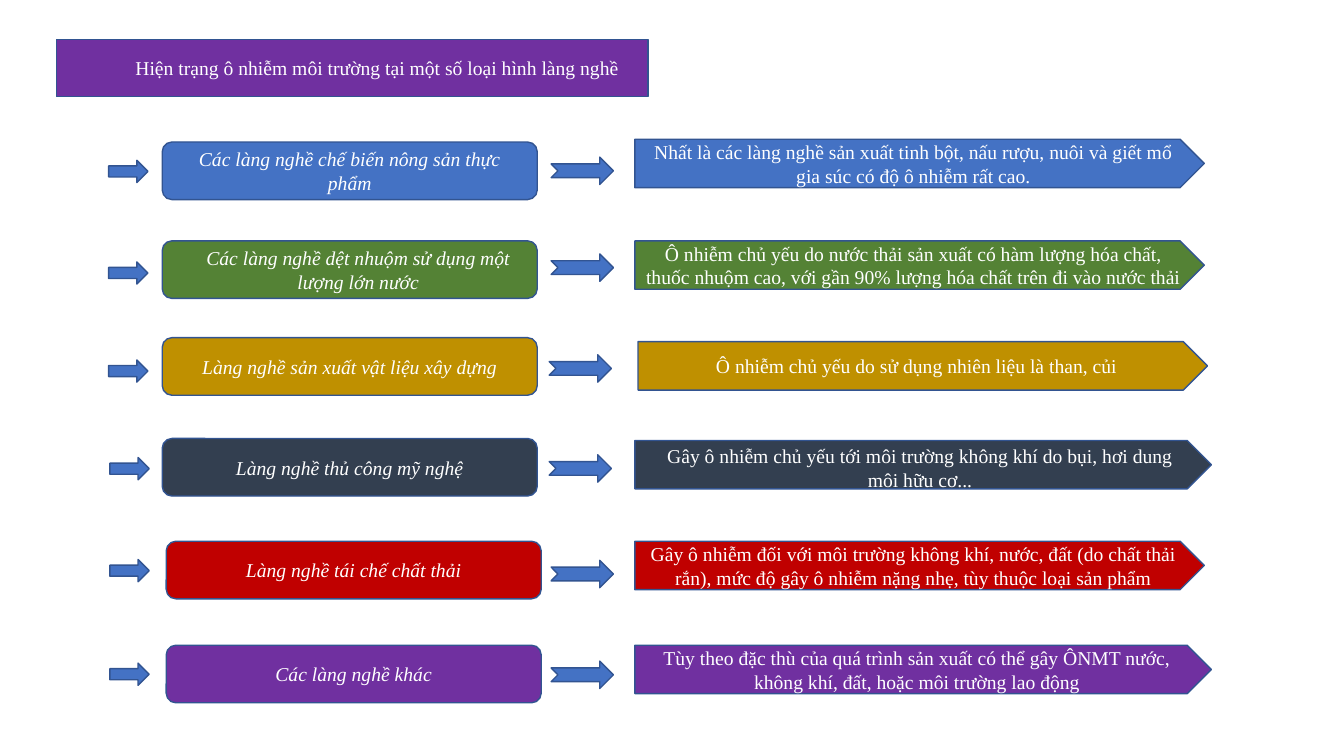
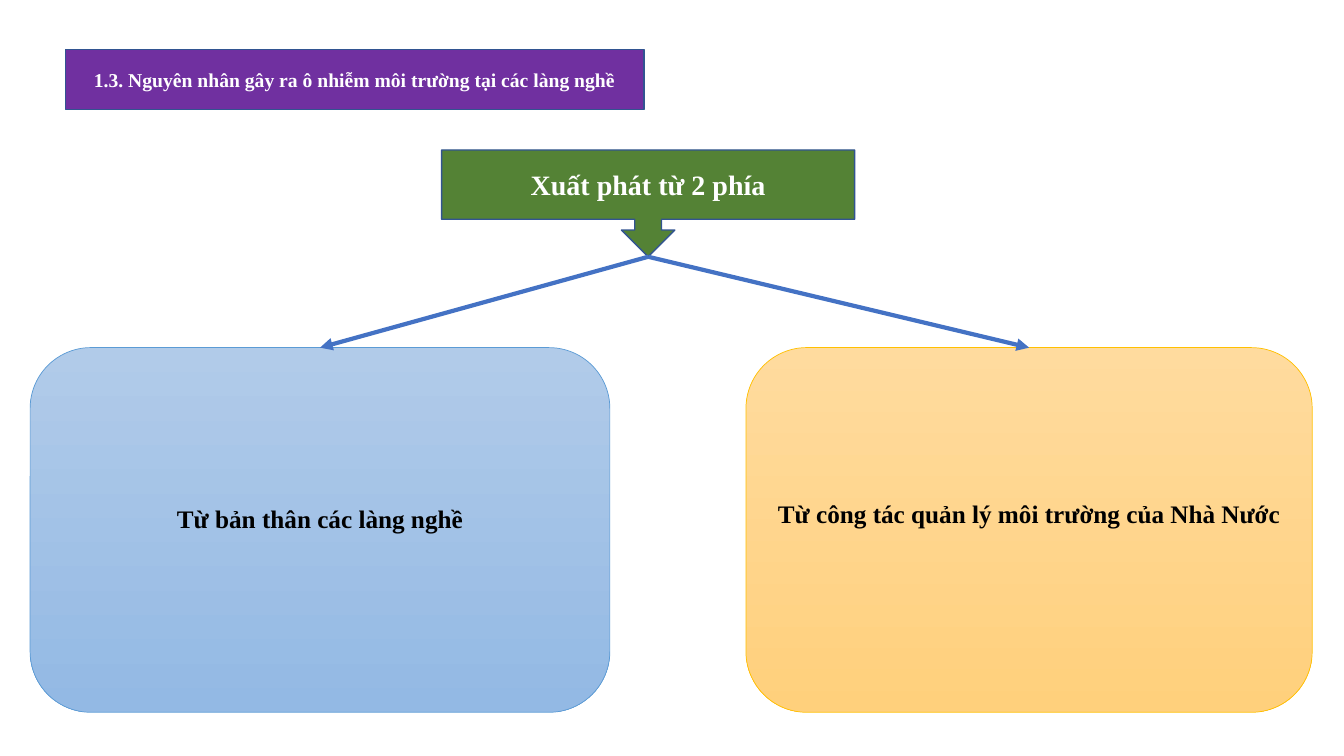
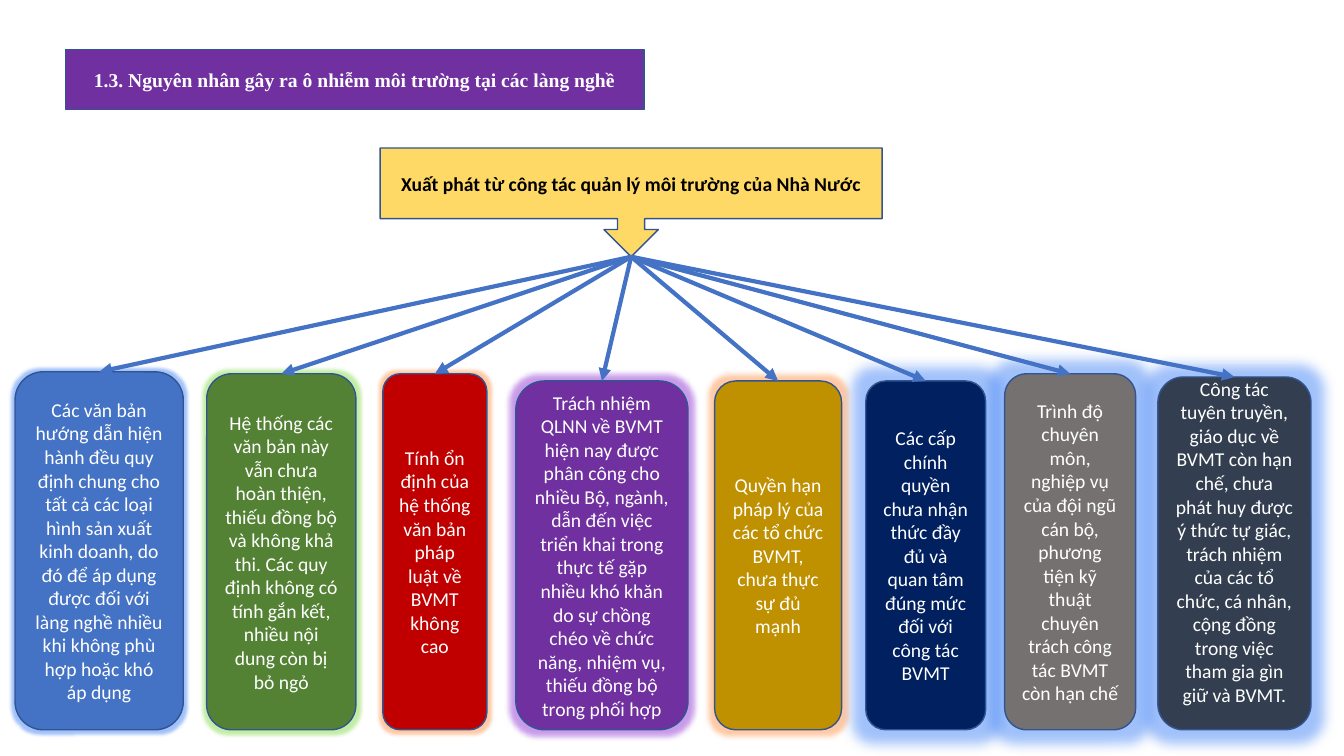
"""Build three slides on pollution in craft villages."""
from dataclasses import dataclass

from lxml import etree
from pptx import Presentation
from pptx.dml.color import RGBColor
from pptx.enum.shapes import MSO_CONNECTOR, MSO_SHAPE
from pptx.enum.text import MSO_ANCHOR, MSO_AUTO_SIZE, PP_ALIGN
from pptx.oxml.ns import qn
from pptx.util import Cm, Pt

ROUND = MSO_SHAPE.ROUNDED_RECTANGLE
ARROW = MSO_SHAPE.RIGHT_ARROW
NOTCHED = MSO_SHAPE.NOTCHED_RIGHT_ARROW
PLATE = MSO_SHAPE.PENTAGON
CALLOUT = MSO_SHAPE.DOWN_ARROW_CALLOUT
STRAIGHT = MSO_CONNECTOR.STRAIGHT
CENTER = PP_ALIGN.CENTER
MIDDLE = MSO_ANCHOR.MIDDLE
FIXED = MSO_AUTO_SIZE.NONE
TITLE_ONLY = 5
TOP, BOTTOM = 0, 2


@dataclass(frozen=True)
class Theme:
    """Colours, fonts and type sizes."""
    blue: str = "4472C4"
    green: str = "548235"
    gold: str = "BF9000"
    slate: str = "333F50"
    red: str = "C00000"
    purple: str = "7030A0"
    navy: str = "002060"
    gray: str = "767171"
    yellow: str = "FFD966"
    edge: str = "325491"
    white: str = "FFFFFF"
    black: str = "000000"
    lime: str = "70AD47"
    orange: str = "ED7D31"
    sky: tuple = ("B1CBE9", "93B9E4")
    sand: tuple = ("FFDB9E", "FFD07C")
    sky_edge: str = "5B9BD5"
    sand_edge: str = "FFC000"
    serif: str = "Times New Roman"
    sans: str = "Calibri"
    small: int = 14
    mid: int = 18
    large: int = 20


T = Theme()
PAD = (0.25, 0.13, 0.25, 0.13)

STATUS = "Hiện trạng ô nhiễm môi trường tại một số loại hình làng nghề"
CAUSES = "1.3. Nguyên nhân gây ra ô nhiễm môi trường tại các làng nghề"
STATUS_BOX = (1.42, 0.99, 14.91, 1.45)
CAUSES_BOX = (1.65, 1.24, 14.58, 1.52)

CRAFTS = [
    (T.blue, "Các làng nghề chế biến nông sản thực phẩm", PAD,
     "Nhất là các làng nghề sản xuất tinh bột, nấu rượu, nuôi và giết mổ "
     "gia súc có độ ô nhiễm rất cao.", PAD),
    (T.green, "Các làng nghề dệt nhuộm sử dụng một lượng lớn nước",
     (0.68, 0.13, 0.25, 0.13),
     "Ô nhiễm chủ yếu do nước thải sản xuất có hàm lượng hóa chất, thuốc "
     "nhuộm cao, với gần 90% lượng hóa chất trên đi vào nước thải", PAD),
    (T.gold, "Làng nghề sản xuất vật liệu xây dựng", PAD,
     "Ô nhiễm chủ yếu do sử dụng nhiên liệu là than, củi", PAD),
    (T.slate, "Làng nghề thủ công mỹ nghệ", PAD,
     "Gây ô nhiễm chủ yếu tới môi trường không khí do bụi, hơi dung môi "
     "hữu cơ...", (0.4, 0.28, 0.25, 0.13)),
    (T.red, "Làng nghề tái chế chất thải", PAD,
     "Gây ô nhiễm đối với môi trường không khí, nước, đất (do chất thải "
     "rắn), mức độ gây ô nhiễm nặng nhẹ, tùy thuộc loại sản phẩm", PAD),
    (T.purple, "Các làng nghề khác", PAD,
     "Tùy theo đặc thù của quá trình sản xuất có thể gây ÔNMT nước, không "
     "khí, đất, hoặc môi trường lao động", PAD),
]
LEFTS = {
    "arrow": (2.74, 2.74, 2.74, 2.77, 2.77, 2.77),
    "craft": (4.09, 4.09, 4.09, 4.09, 4.19, 4.19),
    "link": (13.89, 13.89, 13.84, 13.84, 13.89, 13.89),
    "plate": (16, 16, 16.08, 16, 16, 16),
}
TOPS = {
    "arrow": (4.04, 6.6, 9.07, 11.53, 14.1, 16.71),
    "craft": (3.58, 6.07, 8.51, 11.05, 13.64, 16.26),
    "link": (3.96, 6.4, 8.94, 11.46, 14.12, 16.66),
    "plate": (3.51, 6.07, 8.61, 11.1, 13.64, 16.26),
}
PLATE_WIDTHS = (14.35, 14.35, 14.35, 14.53, 14.35, 14.53)

SIDES = [
    ("Từ bản thân các làng nghề", (0.76, 8.76, 14.61, 9.19),
     T.sky, T.sky_edge, 0.73),
    ("Từ công tác quản lý môi trường của Nhà Nước",
     (18.8, 8.76, 14.27, 9.19), T.sand, T.sand_edge, 0.98),
]

FLOOR = 18.39
FLAWS = [
    (0.38, 9.37, 4.24, T.blue, T.blue, 5,
     "Các văn bản hướng dẫn hiện hành đều quy định chung cho tất cả các "
     "loại hình sản xuất kinh doanh, do đó để áp dụng được đối với làng "
     "nghề nhiều khi không phù hợp hoặc khó áp dụng", PAD),
    (5.21, 9.42, 3.76, T.green, T.lime, 5,
     "Hệ thống các văn bản này vẫn chưa hoàn thiện, thiếu đồng bộ và không "
     "khả thi. Các quy định không có tính gắn kết, nhiều nội dung còn bị "
     "bỏ ngỏ", PAD),
    (9.65, 9.42, 2.62, T.red, T.orange, 5,
     "Tính ổn định của hệ thống văn bản pháp luật về BVMT không cao", PAD),
    (13, 9.6, 4.34, T.purple, T.purple, 8,
     "Trách nhiệm QLNN về BVMT hiện nay được phân công cho nhiều Bộ, ngành, "
     "dẫn đến việc triển khai trong thực tế gặp nhiều khó khăn do sự chồng "
     "chéo về chức năng, nhiệm vụ, thiếu đồng bộ trong phối hợp", PAD),
    (18.01, 9.6, 3.2, T.gold, T.orange, 8,
     "Quyền hạn pháp lý của các tổ chức BVMT, chưa thực sự đủ mạnh", PAD),
    (21.82, 9.6, 3.02, T.navy, T.blue, 18,
     "Các cấp chính quyền chưa nhận thức đầy đủ và quan tâm đúng mức đối "
     "với công tác BVMT", PAD),
    (25.32, 9.42, 3.3, T.gray, T.blue, 18,
     "Trình độ chuyên môn, nghiệp vụ của đội ngũ cán bộ, phương tiện kỹ "
     "thuật chuyên trách công tác BVMT còn hạn chế", PAD),
    (29.18, 9.5, 3.86, T.slate, T.blue, 18,
     "Công tác tuyên truyền, giáo dục về BVMT còn hạn chế, chưa phát huy "
     "được ý thức tự giác, trách nhiệm của các tổ chức, cá nhân, cộng đồng "
     "trong việc tham gia gìn giữ và BVMT.", (0.25, 0.13, 0.25, 0.73)),
]


def rgb(code):
    """Turn a hex code into a colour."""
    return RGBColor.from_string(code)


def write(shape, text, font=T.serif, size=T.small, color=T.white,
          bold=False, slant=False, pad=PAD):
    """Set centred text in a shape."""
    frame = shape.text_frame
    frame.word_wrap = True
    frame.auto_size = FIXED
    frame.vertical_anchor = MIDDLE
    (frame.margin_left, frame.margin_top,
     frame.margin_right, frame.margin_bottom) = map(Cm, pad)
    para = frame.paragraphs[0]
    para.alignment = CENTER
    run = para.add_run()
    run.text = text
    run.font.name, run.font.size = font, Pt(size)
    run.font.bold, run.font.italic = bold, slant
    run.font.color.rgb = rgb(color)


def paint(shape, fill, edge=T.edge, width=1):
    """Give a shape its plain or graded fill and its outline."""
    if isinstance(fill, tuple):
        shape.fill.gradient()
        shape.fill.gradient_angle = 270
        for stop, code in zip(shape.fill.gradient_stops, fill):
            stop.color.rgb = rgb(code)
    else:
        shape.fill.solid()
        shape.fill.fore_color.rgb = rgb(fill)
    shape.line.color.rgb = rgb(edge)
    shape.line.width = Pt(width)


def draw(slide, kind, box, fill, **line):
    """Add a painted shape without shadow."""
    shape = slide.shapes.add_shape(kind, *map(Cm, box))
    shape.shadow.inherit = False
    paint(shape, fill, **line)
    return shape


def glow(shape, code, size):
    """Add a soft glow round a shape."""
    effects = shape._element.spPr.find(qn("a:effectLst"))
    halo = etree.SubElement(effects, qn("a:glow"), rad=str(Pt(size)))
    tint = etree.SubElement(halo, qn("a:srgbClr"), val=code)
    etree.SubElement(tint, qn("a:satMod"), val="175000")
    etree.SubElement(tint, qn("a:alpha"), val="40000")


def join(slide, start, end):
    """Run an arrow from the foot of one shape to the top of another."""
    line = slide.shapes.add_connector(STRAIGHT, 0, 0, 0, 0)
    line.begin_connect(start, BOTTOM)
    line.end_connect(end, TOP)
    line.line.color.rgb = rgb(T.blue)
    line.line.width = Pt(3)
    props = line._element.spPr
    etree.SubElement(props.find(qn("a:ln")), qn("a:tailEnd"), type="triangle")
    etree.SubElement(props, qn("a:effectLst"))


def start(deck, text, box, **style):
    """Add a slide with its title in a purple band."""
    slide = deck.slides.add_slide(deck.slide_layouts[TITLE_ONLY])
    title = slide.shapes.title
    title.left, title.top, title.width, title.height = map(Cm, box)
    shape = etree.SubElement(title._element.spPr, qn("a:prstGeom"),
                             prst="roundRect")
    etree.SubElement(shape, qn("a:avLst"))
    paint(title, T.purple)
    write(title, text, **style)
    return slide


def show_crafts(deck):
    """Show each kind of village beside its pollution."""
    slide = start(deck, STATUS, STATUS_BOX, pad=(1.52, 0.13, 0.25, 0.13))
    for row, (fill, name, name_pad, note, note_pad) in enumerate(CRAFTS):
        spot = {key: (LEFTS[key][row], TOPS[key][row]) for key in LEFTS}
        draw(slide, ARROW, (*spot["arrow"], 0.99, 0.56), T.blue)
        craft = draw(slide, ROUND, (*spot["craft"], 9.45, 1.45), fill)
        write(craft, name, slant=True, pad=name_pad)
        draw(slide, NOTCHED, (*spot["link"], 1.57, 0.69), T.blue)
        plate = draw(slide, PLATE,
                     (*spot["plate"], PLATE_WIDTHS[row], 1.22), fill)
        write(plate, note, pad=note_pad)


def show_sides(deck):
    """Show the two sides the causes come from."""
    slide = start(deck, CAUSES, CAUSES_BOX, bold=True)
    root = draw(slide, CALLOUT, (11.13, 3.78, 10.41, 2.69), T.green)
    write(root, "Xuất phát từ 2 phía", size=T.large, bold=True)
    for text, box, fill, edge, foot in SIDES:
        side = draw(slide, ROUND, box, fill, edge=edge, width=0.5)
        write(side, text, size=T.mid, color=T.black, bold=True,
              pad=(*PAD[:3], foot))
        join(slide, root, side)


def show_flaws(deck):
    """Show the flaws of state management."""
    slide = start(deck, CAUSES, CAUSES_BOX, bold=True)
    root = draw(slide, CALLOUT, (9.58, 3.73, 12.65, 2.74), T.yellow)
    write(root, "Xuất phát từ công tác quản lý môi trường của Nhà Nước",
          font=T.sans, color=T.black, bold=True)
    for left, top, width, fill, halo, size, text, pad in FLAWS:
        flaw = draw(slide, ROUND, (left, top, width, FLOOR - top), fill)
        glow(flaw, halo, size)
        write(flaw, text, font=T.sans, pad=pad)
        join(slide, root, flaw)


def main():
    """Build and save the deck."""
    deck = Presentation()
    deck.slide_width, deck.slide_height = Cm(33.87), Cm(19.05)
    show_crafts(deck)
    show_sides(deck)
    show_flaws(deck)
    deck.save("out.pptx")


if __name__ == "__main__":
    main()
